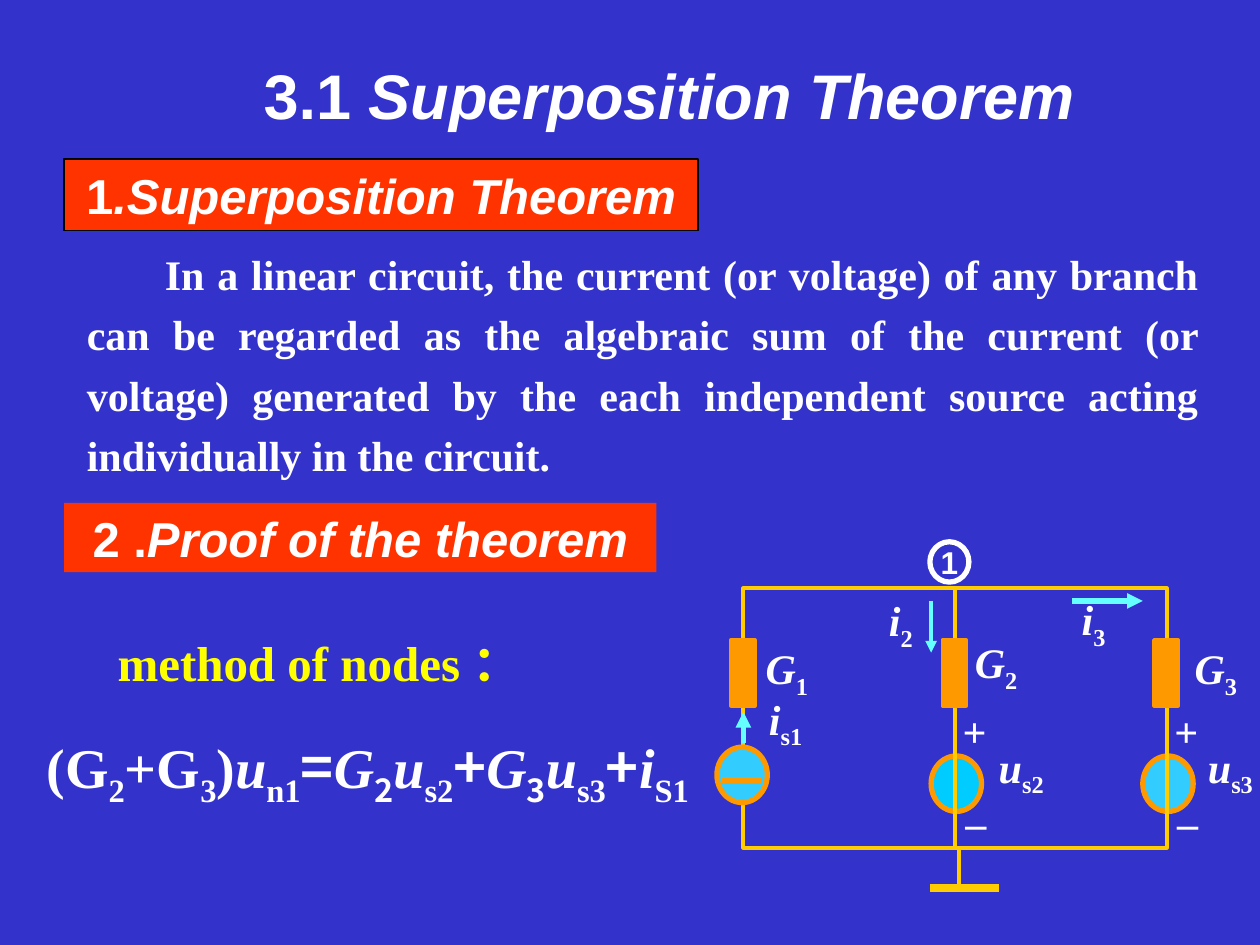
import pptx
import pptx.util
import pptx.dml.color
import pptx.enum.shapes
import pptx.enum.text
import pptx.oxml.ns
from dataclasses import dataclass
from lxml import etree

Inches = pptx.util.Inches
Shape = pptx.enum.shapes.MSO_SHAPE
Align = pptx.enum.text.PP_ALIGN
Anchor = pptx.enum.text.MSO_ANCHOR
Fit = pptx.enum.text.MSO_AUTO_SIZE


@dataclass(frozen=True)
class Theme:
    back: str = "3333CC"
    red: str = "FF3300"
    white: str = "FFFFFF"
    black: str = "000000"
    yellow: str = "FFFF00"
    wire: str = "FFCC00"
    orange: str = "FF9900"
    sky: str = "33CCFF"
    cyan: str = "00CCFF"
    flow: str = "66FFFF"
    sans: str = "Arial"
    serif: str = "Times New Roman"
    cjk: str = "Noto Sans CJK SC"
    title: int = 36
    sum: int = 32
    head: int = 28
    body: int = 24
    node: int = 18


theme = Theme()


def hue(code):
    return pptx.dml.color.RGBColor.from_string(code)


def write(box, runs, size, face, color=theme.white, align=Align.CENTER,
          anchor=Anchor.MIDDLE, wrap=True, fit=Fit.SHAPE_TO_FIT_TEXT):
    frame = box.text_frame
    form = {"word_wrap": wrap, "vertical_anchor": anchor, "auto_size": fit}
    for key, value in form.items():
        setattr(frame, key, value)
    para = frame.paragraphs[0]
    para.alignment = align
    for words, flags in runs:
        run = para.add_run()
        run.text = words
        form = {"size": pptx.util.Pt(size), "bold": True, "italic": "i" in flags,
                "name": theme.cjk if "c" in flags else face}
        for key, value in form.items():
            setattr(run.font, key, value)
        run.font.color.rgb = hue(color)
        if "s" in flags:
            run.font._element.set("baseline", "-25000")
    return para


deck = pptx.Presentation()
deck.slide_width, deck.slide_height = Inches(10), Inches(7.5)
slide = deck.slides.add_slide(deck.slide_layouts[5])
slide.background.fill.solid()
slide.background.fill.fore_color.rgb = hue(theme.back)
shapes = slide.shapes

title = shapes.title
place = {"left": 0.91, "top": 0.52, "width": 8.81, "height": 0.58}
for key, value in place.items():
    setattr(title, key, Inches(value))
write(title, [("3.1 ", ""), ("Superposition Theorem", "i")], theme.title, theme.sans,
      anchor=Anchor.BOTTOM, fit=Fit.NONE)

left, mid, right = [5.9 + 1.68 * step for step in range(3)]
top, low = 4.67, 6.73
parts = [
    (Shape.RECTANGLE, (0.51, 1.26, 5.03, 0.57), theme.red, theme.black, 1),
    (Shape.RECTANGLE, (0.51, 3.99, 4.7, 0.55), theme.red, None, 0),
    (Shape.OVAL, (right - 0.19, 6, 0.4, 0.44), theme.sky, theme.orange, 3),
    (Shape.OVAL, (mid - 0.19, 6, 0.4, 0.44), theme.cyan, theme.orange, 3),
    (Shape.RECTANGLE, (left, top, right - left, low - top), None, theme.wire, 2.25),
    ("wire", (mid, top, mid, low), None, theme.wire, 2.25),
    *[(Shape.RECTANGLE, (x - 0.1, 5.08, 0.19, 0.52), theme.orange, theme.orange, 2.25)
      for x in (left, mid, right)],
    ("arrow", (left, 5.9, left, 5.65), None, theme.flow, 3),
    ("arrow", (7.39, 4.77, 7.39, 5.18), None, theme.flow, 2.25),
    ("arrow", (8.51, 4.77, 9.07, 4.77), None, theme.flow, 3),
    ("wire", (7.61, low, 7.61, 7.05), None, theme.wire, 2.25),
    ("wire", (7.38, 7.05, 7.93, 7.05), None, theme.wire, 4.5),
    (Shape.OVAL, (left - 0.21, 5.93, 0.4, 0.44), theme.sky, theme.orange, 3),
    ("wire", (5.72, 6.19, 6.04, 6.19), None, theme.orange, 3),
    (Shape.OVAL, (7.38, 4.3, 0.31, 0.32), None, theme.white, 3),
]
made = []
for kind, place, fill, line, wide in parts:
    spot = [Inches(value) for value in place]
    if kind in ("wire", "arrow"):
        part = shapes.add_connector(pptx.enum.shapes.MSO_CONNECTOR.STRAIGHT, *spot)
    else:
        part = shapes.add_shape(kind, *spot)
        part.shadow.inherit = False
        part.fill.background()
        if fill:
            part.fill.solid()
            part.fill.fore_color.rgb = hue(fill)
    if line:
        part.line.color.rgb = hue(line)
        part.line.width = pptx.util.Pt(wide)
    else:
        part.line.fill.background()
    if kind == "arrow":
        tip = etree.SubElement(part.line._get_or_add_ln(), pptx.oxml.ns.qn("a:tailEnd"))
        tip.set("type", "triangle")
    if kind in ("wire", "arrow"):
        etree.SubElement(part._element.spPr, pptx.oxml.ns.qn("a:effectLst"))
    made.append(part)

first, second, ring = made[0], made[1], made[-1]
write(first, [("1", ""), (".Superposition Theorem", "i")], theme.head, theme.sans)
write(second, [("2 .", ""), ("Proof of the theorem", "i")], theme.head, theme.sans,
      anchor=Anchor.TOP, fit=Fit.NONE)
write(ring, [("1", "")], theme.node, theme.sans, wrap=False, fit=Fit.NONE)

law = shapes.add_textbox(Inches(0.59), Inches(1.83), Inches(9.02), Inches(2.04))
para = write(law, [("In a linear circuit, the current (or voltage) of any branch can be "
                    "regarded as the algebraic sum of the current (or voltage) generated by "
                    "the each independent source acting individually in the circuit.", "")],
             theme.body, theme.serif, align=Align.JUSTIFY)
para.line_spacing = 1.2
para._p.get_or_add_pPr().set("indent", str(Inches(0.62)))

labels = [
    (5.96, 5.08, 0.57, "G", "1"),
    (5.99, 5.48, 0.49, "i", "s1"),
    (7.58, 5.03, 0.65, "G", "2"),
    (7.81, 5.86, 0.59, "u", "s2"),
    (9.36, 5.08, 0.58, "G", "3"),
    (9.39, 5.86, 0.75, "u", "s3"),
    (6.95, 4.7, 0.4, "i", "2"),
    (8.48, 4.69, 0.4, "i", "3"),
]
for x, y, wide, name, sub in labels:
    box = shapes.add_textbox(Inches(x), Inches(y), Inches(wide), Inches(0.5))
    write(box, [(name, "i"), (sub, "s")], theme.body, theme.serif, wrap=False)

for x in (7.54, 9.22):
    for sign, shift, y, wide in (("+", 0, 5.55, 0.39), ("–", 0.02, 6.27, 0.37)):
        box = shapes.add_textbox(Inches(x + shift), Inches(y), Inches(wide), Inches(0.5))
        write(box, [(sign, "")], theme.body, theme.serif, wrap=False)

note = shapes.add_textbox(Inches(0.83), Inches(4.97), Inches(3.41), Inches(0.57))
write(note, [("method of nodes ：", "")], theme.head, theme.serif, theme.yellow)

terms = [("(G", ""), ("2", "s"), ("+G", ""), ("3", "s"), (")", ""), ("u", "i"), ("n1", "s"),
         ("=", "c"), ("G", "i"), ("2", "cs"), ("u", "i"), ("s2", "s"),
         ("+", "c"), ("G", "i"), ("3", "cs"), ("u", "i"), ("s3", "s"),
         ("+", "c"), ("i", "i"), ("S1", "s")]
sum_box = shapes.add_textbox(Inches(0.27), Inches(5.8), Inches(5.59), Inches(0.63))
write(sum_box, terms, theme.sum, theme.serif, align=Align.JUSTIFY)

deck.save("out.pptx")
